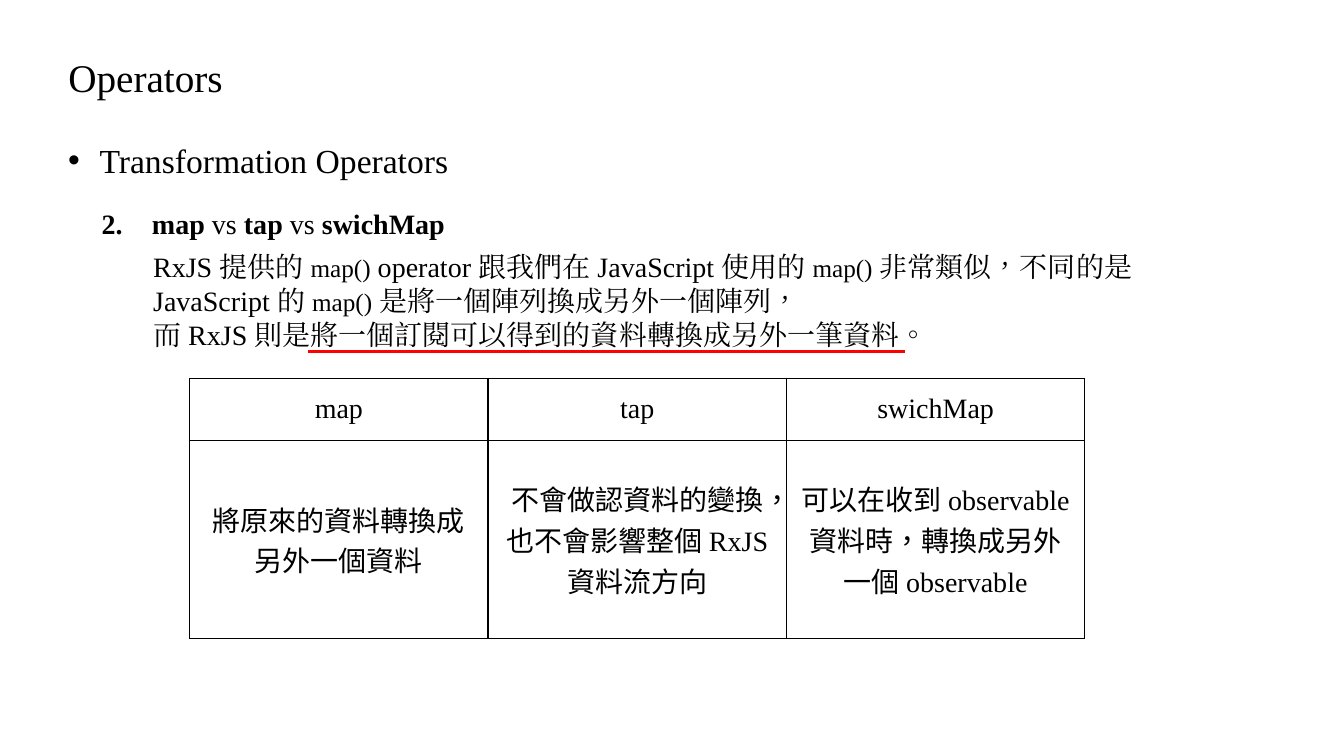
from pptx import Presentation
from pptx.dml.color import RGBColor
from pptx.enum import shapes, text
from pptx.oxml import ns, xmlchemy as xc
from pptx.util import Cm, Pt

FONT = "Times New Roman"
COLORS = {"ink": "000000", "paper": "FFFFFF", "mark": "FF0000"}
GRID = [
    ["map", "tap", "swichMap"],
    ["將原來的資料轉換成另外一個資料",
     "不會做認資料的變換，也不會影響整個 RxJS 資料流方向",
     "可以在收到 observable 資料時，轉換成另外一個 observable"],
]


def color(name):
    return RGBColor.from_string(COLORS[name])


def child(parent, tag, **attrs):
    node = xc.OxmlElement(tag)
    for key, value in attrs.items():
        node.set(key, value)
    parent.append(node)
    return node


def add_run(para, words, size=20, bold=False, asian=False):
    """Add one run; asian also applies the font to Chinese glyphs."""
    run = para.add_run()
    run.text = words
    font = run.font
    font.name, font.size, font.bold = FONT, Pt(size), bold
    font.color.rgb = color("ink")
    props = run._r.get_or_add_rPr()
    props.set("lang", "zh-TW")
    if asian:
        props.find(ns.qn("a:latin")).addnext(
            xc.OxmlElement("a:ea"))
        props.find(ns.qn("a:ea")).set("typeface", FONT)


def add_box(slide, left, top, width, height):
    """Add a wrapping text box and return its first paragraph."""
    box = slide.shapes.add_textbox(Cm(left), Cm(top), Cm(width), Cm(height))
    box.text_frame.word_wrap = True
    return box.text_frame.paragraphs[0]


def hang(para, indent):
    props = para._p.get_or_add_pPr()
    props.set("marL", str(Cm(indent)))
    props.set("indent", str(-Cm(indent)))
    return props


def add_title(slide, words):
    title = slide.shapes.title
    title.left, title.top = Cm(1.47), Cm(0.97)
    title.width, title.height = Cm(29.21), Cm(2.08)
    frame = title.text_frame
    frame.vertical_anchor = text.MSO_ANCHOR.MIDDLE
    para = frame.paragraphs[0]
    para.alignment = text.PP_ALIGN.LEFT
    para.line_spacing = 0.9
    add_run(para, words, 28)


def add_topic(slide):
    para = add_box(slide, 1.47, 3.4, 22.07, 1.27)
    props = hang(para, 0.79)
    child(props, "a:buFont", typeface="Arial")
    child(props, "a:buChar", char="•")
    add_run(para, "Transformation Operators", 24)


def add_heading(slide):
    para = add_box(slide, 2.31, 5.08, 30.07, 1.12)
    props = hang(para, 1.27)
    child(props, "a:buFont", typeface="+mj-lt")
    child(props, "a:buAutoNum", type="arabicPeriod", startAt="2")
    for words in ("map", " vs ", "tap", " vs ", "swichMap"):
        add_run(para, words, bold=words != " vs ")


def add_body(slide):
    para = add_box(slide, 3.61, 6.17, 27.51, 2.82)
    parts = ["RxJS 提供的 ", " operator 跟我們在 JavaScript 使用的 ",
             " 非常類似，不同的是 JavaScript 的 ", " 是將一個陣列換成另外一個陣列，"]
    for i, words in enumerate(parts):
        if i:
            add_run(para, "map()", 18, asian=True)
        add_run(para, words, asian=True)
    para.add_line_break()
    add_run(para, "而 RxJS 則是將一個訂閱可以得到的資料轉換成另外一筆資料。", asian=True)


def add_rule(slide, left, right, top):
    rule = slide.shapes.add_connector(
        shapes.MSO_CONNECTOR.STRAIGHT, Cm(left), Cm(top), Cm(right), Cm(top))
    rule.line.color.rgb = color("mark")
    rule.line.width = Pt(2.25)
    child(rule._element.spPr, "a:effectLst")


def fill_cell(cell, words):
    props = cell._tc.get_or_add_tcPr()
    for side in "LRTB":
        edge = child(props, f"a:ln{side}", w=str(Pt(1)))
        child(child(edge, "a:solidFill"), "a:srgbClr", val=COLORS["ink"])
    cell.fill.solid()
    cell.fill.fore_color.rgb = color("paper")
    cell.vertical_anchor = text.MSO_ANCHOR.MIDDLE
    para = cell.text_frame.paragraphs[0]
    para.alignment = text.PP_ALIGN.CENTER
    add_run(para, words)


def add_grid(slide):
    table = slide.shapes.add_table(
        2, 3, Cm(4.78), Cm(9.53), Cm(22.56), Cm(6.55)).table
    table.first_row = table.horz_banding = False
    for col in table.columns:
        col.width = Cm(7.52)
    for row, height, line in zip(table.rows, (1.57, 4.98), GRID):
        row.height = Cm(height)
        for cell, words in zip(row.cells, line):
            fill_cell(cell, words)


def main():
    deck = Presentation()
    deck.slide_width, deck.slide_height = Cm(33.87), Cm(19.05)
    slide = deck.slides.add_slide(deck.slide_layouts[5])
    add_title(slide, "Operators")
    add_topic(slide)
    add_heading(slide)
    add_body(slide)
    add_rule(slide, 7.77, 22.81, 8.86)
    add_grid(slide)
    deck.save("out.pptx")


if __name__ == "__main__":
    main()
